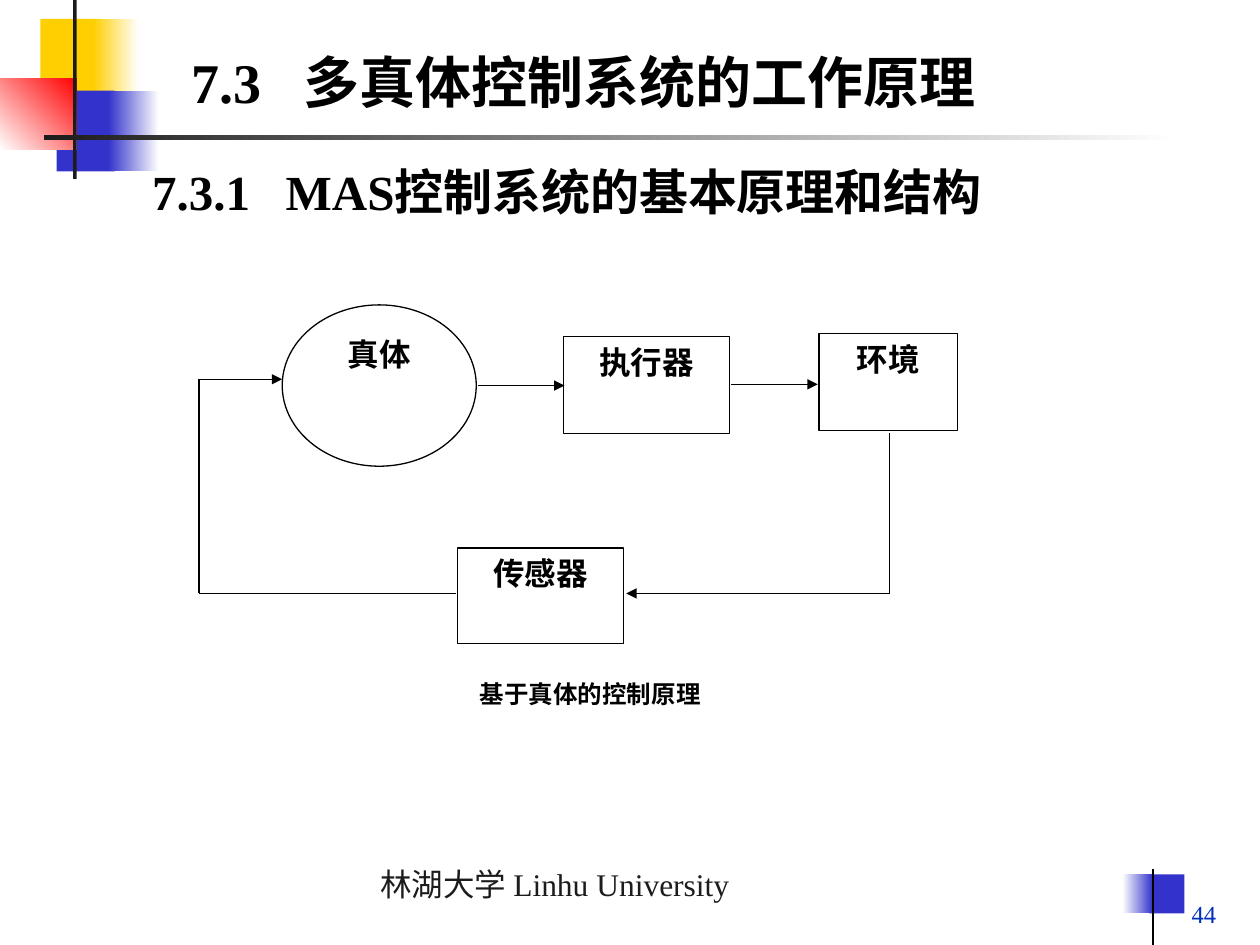
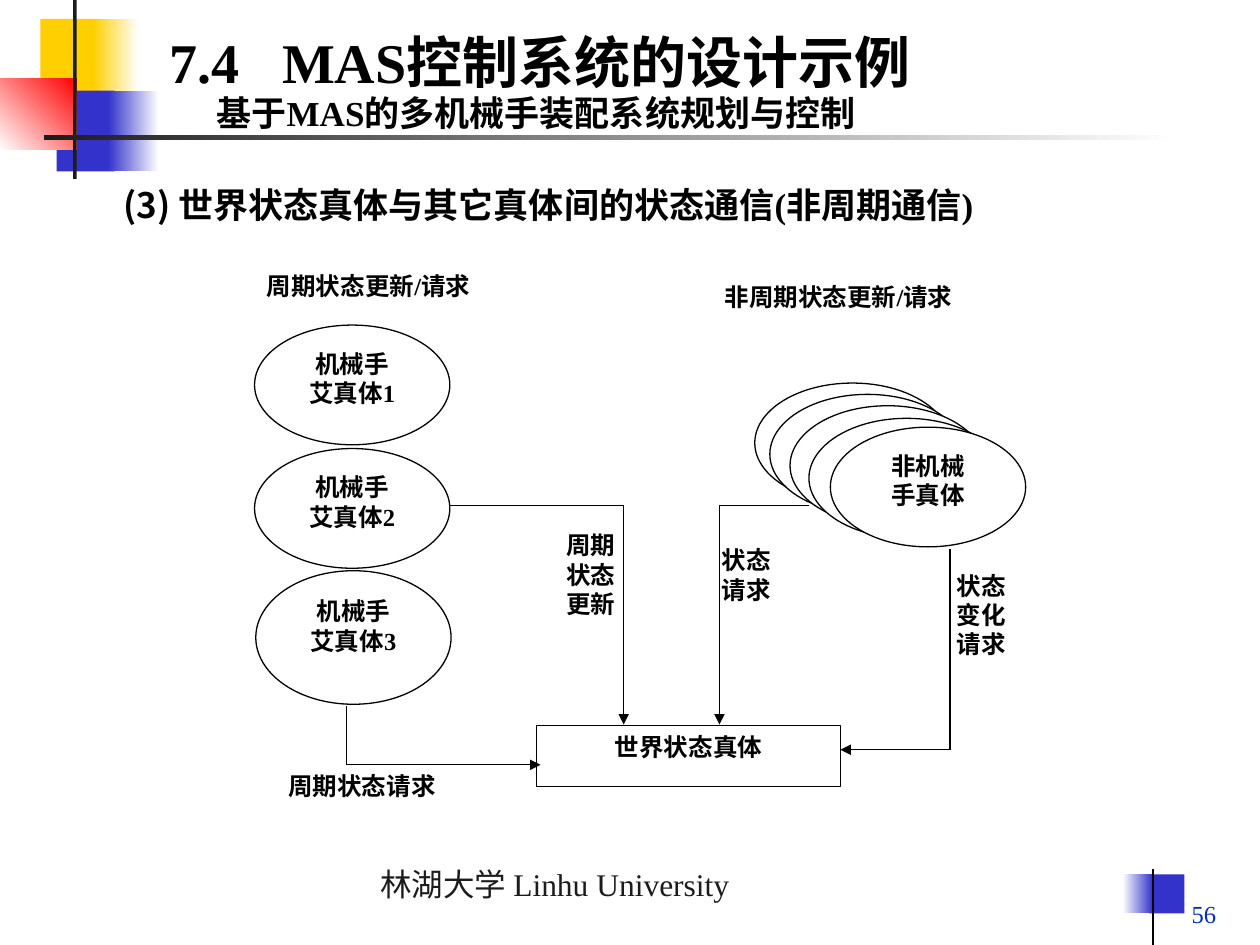
"""Build two slides on multi-agent control systems."""
import pptx
import pptx.util
import pptx.dml.color
import pptx.enum.shapes
import pptx.enum.text
import pptx.oxml.ns
from lxml import etree

Inches = pptx.util.Inches
Pt = pptx.util.Pt
RGBColor = pptx.dml.color.RGBColor
Shape = pptx.enum.shapes.MSO_SHAPE
Align = pptx.enum.text.PP_ALIGN
Anchor = pptx.enum.text.MSO_ANCHOR
qn = pptx.oxml.ns.qn

WHITE = RGBColor(0xFF, 0xFF, 0xFF)
BLACK = RGBColor(0x00, 0x00, 0x00)
YELLOW = RGBColor(0xFF, 0xCF, 0x01)
BLUE = RGBColor(0x33, 0x33, 0xCC)
RED = RGBColor(0xFF, 0x00, 0x00)
CHARCOAL = RGBColor(0x1C, 0x1C, 0x1C)
NUMBER_BLUE = RGBColor(0x02, 0x2E, 0xBA)

LATIN = "Times New Roman"
CJK = "Noto Sans CJK SC"
LINE_WIDTH = Pt(0.75)

MASTER_BANDS = [
    ((0.32, 0.15, 0.48, 0.64), [YELLOW], 0),
    ((0.74, 0.15, 0.36, 0.64), [YELLOW, WHITE], 0),
    ((0.45, 0.72, 0.46, 0.64), [BLUE], 0),
    ((0.86, 0.72, 0.4, 0.64), [BLUE, WHITE], 0),
    ((0, 0.62, 0.61, 0.57), [WHITE, RED], 45),
    ((0.58, 0, 0.03, 1.42), [CHARCOAL], 0),
    ((0.35, 1.07, 9, 0.04), [CHARCOAL, WHITE], 0),
    ((9.12, 6.94, 0.28, 0.31), [BLUE], 0),
    ((8.91, 6.94, 0.24, 0.31), [WHITE, BLUE], 0),
]


def apply_formats(target, formats):
    """Set every attribute named in formats on target."""
    for name, value in formats.items():
        setattr(target, name, value)


def inches(values):
    """Turn plain numbers into lengths."""
    return [Inches(value) for value in values]


def write_spans(para, spans, size, color=BLACK, bold=True):
    """Add (text, font) spans to a paragraph."""
    for text, font in spans:
        span = para.add_run()
        span.text = text
        apply_formats(span.font, {"name": font, "size": Pt(size), "bold": bold})
        span.font.color.rgb = color
        if font == CJK:
            etree.SubElement(span.font._element, qn("a:ea"), typeface=CJK)


def write_lines(shape, text, size, align=Align.CENTER, anchor=Anchor.TOP, **style):
    """Write each line of text as one paragraph."""
    frame = shape.text_frame
    apply_formats(frame, {"word_wrap": True, "vertical_anchor": anchor})
    for index, line in enumerate(text.split("\n")):
        para = frame.add_paragraph() if index else frame.paragraphs[0]
        para.alignment = align
        write_spans(para, [(line, LATIN)], size, **style)


def add_label(page, place, text, size=14, **style):
    """Add a text box."""
    box = page.shapes.add_textbox(*inches(place))
    write_lines(box, text, size, **style)
    return box


def add_heading(page, place, spans, size, tab=None):
    """Add a heading of mixed fonts, with an optional tab stop after its number."""
    box = page.shapes.add_textbox(*inches(place))
    box.text_frame.word_wrap = True
    para = box.text_frame.paragraphs[0]
    if tab:
        stops = etree.SubElement(para._p.get_or_add_pPr(), qn("a:tabLst"))
        etree.SubElement(stops, qn("a:tab"), pos=str(Inches(tab)), algn="l")
    write_spans(para, spans, size)


def add_band(page, place, colors, angle):
    """Add a borderless rectangle in one colour or a two-colour gradient."""
    band = page.shapes.add_shape(Shape.RECTANGLE, *inches(place))
    band.shadow.inherit = False
    band.line.fill.background()
    if len(colors) == 1:
        band.fill.solid()
        band.fill.fore_color.rgb = colors[0]
        return
    band.fill.gradient()
    band.fill.gradient_angle = angle
    for stop, color in zip(band.fill.gradient_stops, colors):
        stop.color.rgb = color


def add_node(page, kind, place, text="", size=14):
    """Add an outlined white diagram node."""
    node = page.shapes.add_shape(kind, *inches(place))
    node.shadow.inherit = False
    node.fill.solid()
    node.fill.fore_color.rgb = WHITE
    node.line.color.rgb = BLACK
    node.line.width = LINE_WIDTH
    if text:
        write_lines(node, text, size)


def add_route(page, *points, arrow=True):
    """Join points with straight lines, ending in an arrowhead."""
    for start, end in zip(points, points[1:]):
        line = page.shapes.add_connector(
            pptx.enum.shapes.MSO_CONNECTOR.STRAIGHT, *inches(start + end))
        line.line.color.rgb = BLACK
        line.line.width = LINE_WIDTH
        if arrow and end == points[-1]:
            etree.SubElement(line.line._get_or_add_ln(), qn("a:tailEnd"), type="triangle")
        etree.SubElement(line._element.spPr, qn("a:effectLst"))


def add_page(deck, number):
    """Add a page with the shared bands, footer and page number."""
    page = deck.slides.add_slide(deck.slide_layouts[6])
    for band in MASTER_BANDS:
        add_band(page, *band)
    add_route(page, (9.15, 6.9), (9.15, 7.5), arrow=False)
    footer = add_label(page, (2.92, 6.82, 3.06, 0.4), "林湖大学 Linhu University", 18,
                       align=Align.LEFT, color=CHARCOAL, bold=False)
    footer.text_frame.word_wrap = False
    add_label(page, (7.67, 6.9, 2.08, 0.52), str(number), align=Align.RIGHT,
              anchor=Anchor.BOTTOM, color=NUMBER_BLUE, bold=False)
    return page


def build_control_loop(deck):
    """Show the agent-based control loop."""
    page = add_page(deck, 44)
    add_heading(page, (1.42, 0.33, 6.97, 0.63),
                [("7.3\t", LATIN), ("多真体控制系统的工作原理", CJK)], 32, 0.89)
    add_heading(page, (1.11, 1.23, 7.3, 0.57),
                [("7.3.1\tMAS", LATIN), ("控制系统的基本原理和结构", CJK)], 28, 1.06)
    add_label(page, (2.02, 5.34, 5.33, 0.33), "基于真体的控制原理")
    for kind, place, text in [
        (Shape.RECTANGLE, (4.47, 2.67, 1.32, 0.77), "执行器"),
        (Shape.RECTANGLE, (6.5, 2.65, 1.1, 0.77), "环境"),
        (Shape.RECTANGLE, (3.63, 4.35, 1.32, 0.76), "传感器"),
        (Shape.OVAL, (2.24, 2.42, 1.54, 1.28), "真体"),
    ]:
        add_node(page, kind, place, text, 18)
    add_route(page, (3.79, 3.06), (4.48, 3.06))
    add_route(page, (5.8, 3.05), (6.49, 3.05))
    add_route(page, (7.06, 3.44), (7.06, 4.71), (4.97, 4.71))
    add_route(page, (3.62, 4.71), (1.58, 4.71), (1.58, 3.01), (2.24, 3.01))


def build_state_communication(deck):
    """Show how the agents exchange states with the world-state agent."""
    page = add_page(deck, 56)
    add_heading(page, (0.88, 1.41, 7.92, 0.43),
                [("(3) 世界状态真体与其它真体间的状态通信", CJK), ("(", LATIN),
                 ("非周期通信", CJK), (")", LATIN)], 20)
    add_heading(page, (1.25, 0.17, 7.33, 0.63),
                [("7.4\tMAS", LATIN), ("控制系统的设计示例", CJK)], 32, 0.89)
    add_heading(page, (1.62, 0.68, 7.15, 0.43),
                [("基于", CJK), ("MAS", LATIN), ("的多机械手装配系统规划与控制", CJK)], 20)

    arms = [(2.02, 2.58, 0.95), (2.02, 3.56, 0.95), (2.03, 4.53, 1.06)]
    for number, (left, top, height) in enumerate(arms, 1):
        add_node(page, Shape.OVAL, (left, top, 1.55, height), f"机械手\n艾真体{number}")
    for left, top in [(5.99, 3.04), (6.11, 3.13), (6.27, 3.22), (6.42, 3.32)]:
        add_node(page, Shape.OVAL, (left, top, 1.55, 0.95))
    add_node(page, Shape.OVAL, (6.59, 3.39, 1.55, 0.95), "非机械\n手真体")
    add_node(page, Shape.RECTANGLE, (4.26, 5.76, 2.41, 0.48), "世界状态真体")

    add_route(page, (2.75, 5.6), (2.75, 6.07), (4.29, 6.07))
    add_route(page, (3.57, 4.01), (4.95, 4.01), (4.95, 5.75))
    add_route(page, (6.42, 4.01), (5.71, 4.01), (5.71, 5.75))
    add_route(page, (7.54, 4.36), (7.54, 5.95), (6.67, 5.95))

    for place, text, align in [
        ((1.89, 2.1, 2.07, 0.48), "周期状态更新/请求", Align.CENTER),
        ((5.45, 2.19, 2.41, 0.48), "非周期状态更新/请求", Align.CENTER),
        ((2.19, 6.07, 1.55, 0.48), "周期状态请求", Align.JUSTIFY),
        ((4.26, 4.16, 0.86, 1.27), "周期\n状态\n更新", Align.CENTER),
        ((5.63, 4.28, 0.86, 0.95), "状态\n请求", Align.JUSTIFY),
        ((7.36, 4.48, 0.86, 1.27), "状态\n变化\n请求", Align.CENTER),
    ]:
        add_label(page, place, text, align=align)


def main():
    """Build and save the deck."""
    deck = pptx.Presentation()
    apply_formats(deck, {"slide_width": Inches(10), "slide_height": Inches(7.5)})
    build_control_loop(deck)
    build_state_communication(deck)
    deck.save("out.pptx")


if __name__ == "__main__":
    main()
